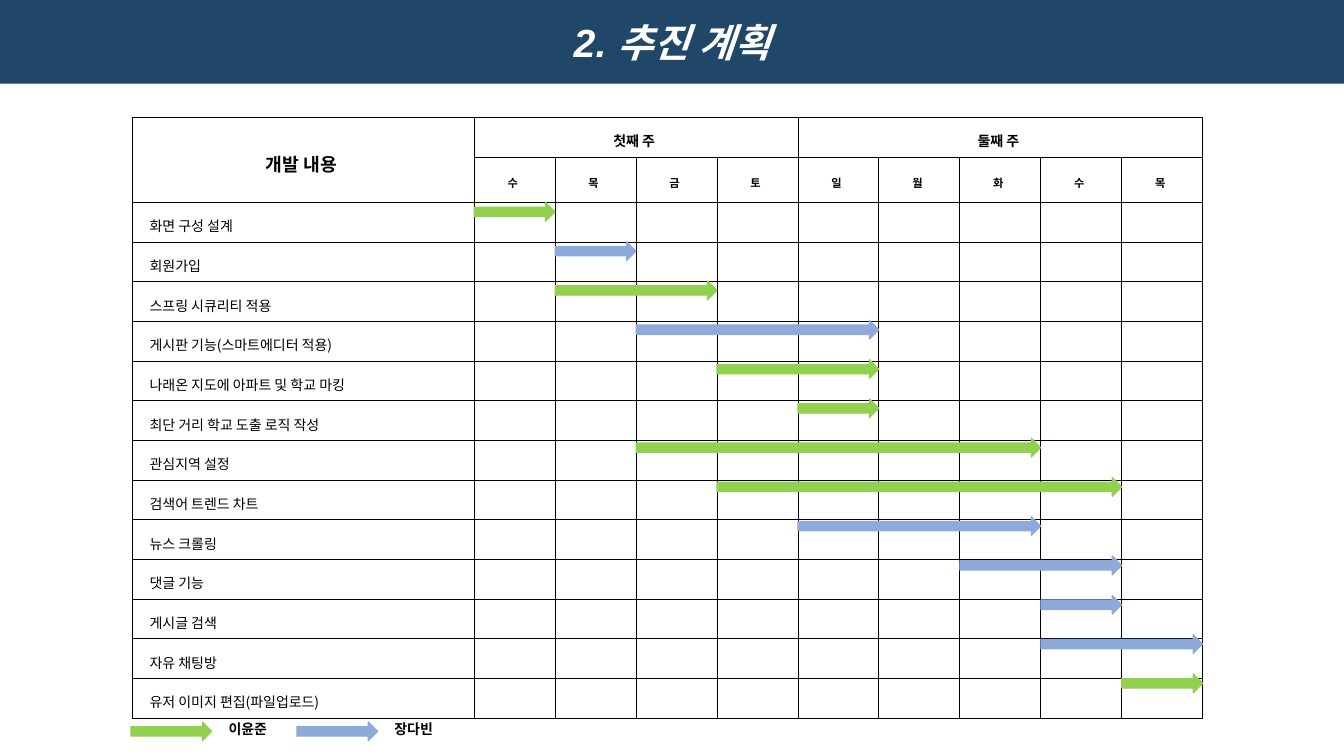
from lxml.etree import SubElement
from pptx import Presentation
from pptx.dml.color import RGBColor
from pptx.enum.shapes import MSO_SHAPE
from pptx.enum.text import MSO_ANCHOR, MSO_AUTO_SIZE, PP_ALIGN
from pptx.oxml.ns import qn
from pptx.util import Cm, Pt

TITLE = "2. 추진 계획"
TASK_HEADING = "개발 내용"
WEEKS = [("첫째 주", "수목금토"), ("둘째 주", "일월화수목")]
OWNERS = ["이윤준", "장다빈"]
TASKS = [
    ("화면 구성 설계", "이윤준", 0, 1),
    ("회원가입", "장다빈", 1, 1),
    ("스프링 시큐리티 적용", "이윤준", 1, 2),
    ("게시판 기능(스마트에디터 적용)", "장다빈", 2, 3),
    ("나래온 지도에 아파트 및 학교 마킹", "이윤준", 3, 2),
    ("최단 거리 학교 도출 로직 작성", "이윤준", 4, 1),
    ("관심지역 설정", "이윤준", 2, 5),
    ("검색어 트렌드 차트", "이윤준", 3, 5),
    ("뉴스 크롤링", "장다빈", 4, 3),
    ("댓글 기능", "장다빈", 6, 2),
    ("게시글 검색", "장다빈", 7, 1),
    ("자유 채팅방", "장다빈", 7, 2),
    ("유저 이미지 편집(파일업로드)", "이윤준", 8, 1),
]
COLORS = {
    "band": "204767",
    "white": "FFFFFF",
    "black": "000000",
    "이윤준": "92D050",
    "장다빈": "8EAADB",
}
TABLE_FONT = "Noto Sans CJK KR"

SLIDE_W, SLIDE_H, BAND_H = 33.87, 19.05, 2.11
TABLE_X, TABLE_Y = 3.34, 2.96
TASK_W, DAY_W = 8.61, 2.04
WEEK_H, DAY_H, TASK_H = 1.0, 1.14, 1.0
BAR_H, BAR_STEP = 0.48, 0.99
LEGEND_X, LEGEND_Y, LEGEND_STEP = 3.3, 18.19, 4.18


def color(name):
    return RGBColor.from_string(COLORS[name])


def style(paragraph, size, font_name, ink="black", bold=False, italic=False):
    font = paragraph.font
    font.size, font.bold, font.italic = Pt(size), bold, italic
    font.color.rgb = color(ink)
    font.name = font_name


def set_margins(holder, left, top, right, bottom):
    holder.margin_left, holder.margin_top = Cm(left), Cm(top)
    holder.margin_right, holder.margin_bottom = Cm(right), Cm(bottom)


def outline_cell(cell):
    properties = cell._tc.get_or_add_tcPr()
    for side in ("lnL", "lnR", "lnT", "lnB"):
        border = SubElement(properties, qn(f"a:{side}"), w=str(Pt(0.75)))
        fill = SubElement(border, qn("a:solidFill"))
        SubElement(fill, qn("a:srgbClr"), val=COLORS["black"])
    cell.fill.solid()
    cell.fill.fore_color.rgb = color("white")


def write_cell(cell, text, size, bold=True, align=PP_ALIGN.CENTER, indent=0.15):
    cell.text = text
    cell.vertical_anchor = MSO_ANCHOR.MIDDLE
    set_margins(cell, indent, 0.15, 0.25, 0.05)
    paragraph = cell.text_frame.paragraphs[0]
    paragraph.alignment = align
    paragraph.line_spacing = 1.15
    style(paragraph, size, TABLE_FONT, bold=bold)
    SubElement(paragraph.font._rPr, qn("a:ea"), typeface=TABLE_FONT)


def add_bar(shapes, owner, x, y, width):
    bar = shapes.add_shape(MSO_SHAPE.RIGHT_ARROW, Cm(x), Cm(y), Cm(width), Cm(BAR_H))
    bar.shadow.inherit = False
    bar.fill.solid()
    bar.fill.fore_color.rgb = color(owner)
    bar.line.color.rgb = color(owner)
    bar.line.width = Pt(0.75)


def add_heading(slide):
    shapes = slide.shapes
    band = shapes.add_shape(MSO_SHAPE.RECTANGLE, 0, 0, Cm(SLIDE_W), Cm(BAND_H))
    band.shadow.inherit = False
    band.fill.solid()
    band.fill.fore_color.rgb = color("band")
    band.line.fill.background()
    shapes._spTree.insert(2, band._element)

    title = shapes.title
    title.left, title.top, title.width, title.height = 0, Cm(0.4), Cm(SLIDE_W), Cm(1.25)
    frame = title.text_frame
    frame.text = TITLE
    frame.auto_size = MSO_AUTO_SIZE.NONE
    frame.vertical_anchor = MSO_ANCHOR.MIDDLE
    set_margins(frame, 0, 0.05, 0, 0)
    frame.paragraphs[0].alignment = PP_ALIGN.CENTER
    style(frame.paragraphs[0], 28, "Arial", "white", bold=True, italic=True)


def add_schedule(shapes):
    heights = [WEEK_H, DAY_H] + [TASK_H] * len(TASKS)
    widths = [TASK_W] + [DAY_W] * sum(len(days) for _, days in WEEKS)
    schedule = shapes.add_table(
        len(heights), len(widths),
        Cm(TABLE_X), Cm(TABLE_Y), Cm(sum(widths)), Cm(sum(heights)),
    ).table
    schedule.first_row = schedule.horz_banding = False
    for row, height in zip(schedule.rows, heights):
        row.height = Cm(height)
    for column, width in zip(schedule.columns, widths):
        column.width = Cm(width)
    for cell in schedule.iter_cells():
        outline_cell(cell)
        cell.margin_top = cell.margin_bottom = 0

    schedule.cell(0, 0).merge(schedule.cell(1, 0))
    write_cell(schedule.cell(0, 0), TASK_HEADING, 13)
    first = 1
    for week, days in WEEKS:
        schedule.cell(0, first).merge(schedule.cell(0, first + len(days) - 1))
        write_cell(schedule.cell(0, first), week, 10)
        for offset, day in enumerate(days):
            write_cell(schedule.cell(1, first + offset), day, 8)
        first += len(days)
    for row, (task, *_) in enumerate(TASKS, start=2):
        write_cell(schedule.cell(row, 0), task, 10, False, PP_ALIGN.JUSTIFY, 0.43)


def add_bars(shapes):
    left, top = TABLE_X + TASK_W, TABLE_Y + WEEK_H + DAY_H
    for row, (_, owner, start, days) in enumerate(TASKS):
        add_bar(shapes, owner, left + start * DAY_W, top + row * BAR_STEP, days * DAY_W)


def add_legend(shapes):
    for index, owner in enumerate(OWNERS):
        x = LEGEND_X + index * LEGEND_STEP
        add_bar(shapes, owner, x, LEGEND_Y, DAY_W)
        label = shapes.add_textbox(Cm(x + 2.21), Cm(17.94), Cm(1.98), Cm(0.94))
        frame = label.text_frame
        frame.word_wrap = True
        set_margins(frame, 0.25, 0.25, 0.25, 0.25)
        frame.text = owner
        style(frame.paragraphs[0], 10, "Calibri", bold=True)


def main():
    deck = Presentation()
    deck.slide_width, deck.slide_height = Cm(SLIDE_W), Cm(SLIDE_H)
    slide = deck.slides.add_slide(deck.slide_layouts[5])
    add_heading(slide)
    add_schedule(slide.shapes)
    add_bars(slide.shapes)
    add_legend(slide.shapes)
    deck.save("out.pptx")


if __name__ == "__main__":
    main()
